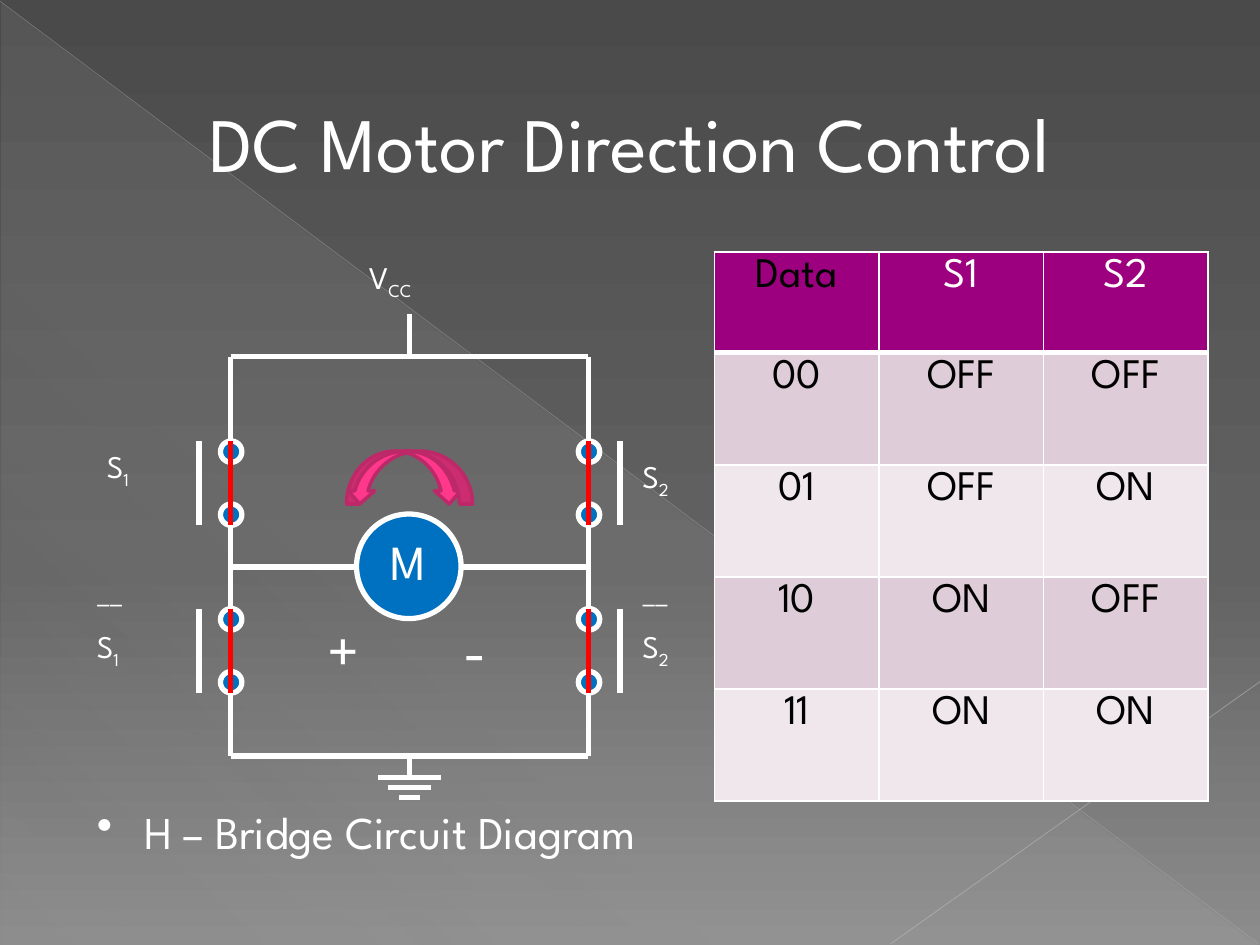
from itertools import product

from lxml.etree import SubElement
from pptx import Presentation
from pptx.dml.color import RGBColor
from pptx.enum.shapes import MSO_CONNECTOR as Connector, MSO_SHAPE as Shape
from pptx.enum.text import MSO_ANCHOR as Anchor, PP_ALIGN as Align
from pptx.oxml.ns import qn
from pptx.util import Inches, Pt

FONT = "League Spartan"
COLORS = {
    "white": "FFFFFF", "black": "000000", "blue": "0070C0", "red": "FF0000",
    "pink": "FF388C", "pink_edge": "BD2968", "header": "9C007F",
    "band_dark": "DECCD8", "band_light": "EFE7EC",
    "bg_top": "4A4A4A", "bg_middle": "626262", "bg_bottom": "8C8C8C",
    "sheen": "D2D2D2", "long_edge": "BFBFBF", "short_edge": "C6C6C6",
}
LEFT, RIGHT, MIDDLE = 1.83, 4.67, 3.25
TOP, CENTER, BOTTOM = 2.83, 4.5, 6
SWITCH_TOPS = (3.5, 4.83)
TABLE_ROWS = [
    ("Data", "S1", "S2"),
    ("00", "OFF", "OFF"),
    ("01", "OFF", "ON"),
    ("10", "ON", "OFF"),
    ("11", "ON", "ON"),
]


def rgb(name):
    return RGBColor.from_string(COLORS[name])


def add_color(parent, name, opacity=100):
    color = SubElement(parent, qn("a:srgbClr"), val=COLORS[name])
    if opacity < 100:
        SubElement(color, qn("a:alpha"), val=str(opacity * 1000))


def set_gradient(fill, owner, stops, angle):
    """Fill with (position, color, opacity) stops; owner is the XML that holds the fill."""
    fill.gradient()
    gradient = owner.xpath(".//a:gradFill")[0]
    for child in list(gradient):
        gradient.remove(child)
    stop_list = SubElement(gradient, qn("a:gsLst"))
    for position, name, opacity in stops:
        stop = SubElement(stop_list, qn("a:gs"), pos=str(position * 1000))
        add_color(stop, name, opacity)
    SubElement(gradient, qn("a:lin"), ang=str(angle * 60000), scaled="0")


def add_line(shapes, start, end, color="white", width=3, opacity=100):
    line = shapes.add_connector(Connector.STRAIGHT, *map(Inches, start + end))
    line.line.width = Pt(width)
    line.line.color.rgb = rgb(color)
    if opacity < 100:
        solid = line.element.xpath(".//a:ln/a:solidFill")[0]
        solid.remove(solid[0])
        add_color(solid, color, opacity)
    SubElement(line.element.spPr, qn("a:effectLst"))


def add_shape(shapes, kind, left, top, width, height, fill="blue", edge="white", weight=3):
    shape = shapes.add_shape(kind, *map(Inches, (left, top, width, height)))
    shape.shadow.inherit = False
    if fill:
        shape.fill.solid()
        shape.fill.fore_color.rgb = rgb(fill)
    if edge:
        shape.line.color.rgb = rgb(edge)
        shape.line.width = Pt(weight)
    else:
        shape.line.fill.background()
    return shape


def add_span(para, text, size, color="white", baseline=0):
    span = para.add_run()
    span.text = text
    span.font.size = Pt(size)
    span.font.name = FONT
    span.font.color.rgb = rgb(color)
    if baseline:
        span.font._element.set("baseline", str(baseline * 1000))


def add_text(shapes, box, paragraphs, size=18, align=Align.LEFT, anchor=Anchor.TOP,
             before=50, bullet=False):
    """Each paragraph is a list of (text, baseline percent); before is in percent of a line."""
    frame = shapes.add_textbox(*map(Inches, box)).text_frame
    frame.word_wrap = True
    frame.vertical_anchor = anchor
    for index, spans in enumerate(paragraphs):
        para = frame.add_paragraph() if index else frame.paragraphs[0]
        para.alignment = align
        properties = para._p.get_or_add_pPr()
        if before:
            spacing = SubElement(properties, qn("a:spcBef"))
            SubElement(spacing, qn("a:spcPct"), val=str(before * 1000))
        if bullet:
            properties.set("marL", str(Inches(0.38)))
            properties.set("indent", str(-Inches(0.38)))
            SubElement(properties, qn("a:buChar"), char="•")
        for text, baseline in spans:
            add_span(para, text, size, baseline=baseline)


def add_background(page):
    stops = [(0, "bg_top", 100), (60, "bg_middle", 100), (100, "bg_bottom", 100)]
    set_gradient(page.background.fill, page.element, stops, 90)
    sheen = add_shape(page.shapes, Shape.RIGHT_TRIANGLE, 0.01, 0.02, 9.98, 7.48,
                      fill=None, edge=None)
    stops = [(0, "sheen", 10), (70, "sheen", 8), (100, "sheen", 1)]
    set_gradient(sheen.fill, sheen.element, stops, 133)
    add_line(page.shapes, (0, 0.01), (9.99, 7.49), "long_edge", 0.39, 35)
    add_line(page.shapes, (10, 5.41), (7.07, 7.49), "short_edge", 0.47, 45)


def add_wires(shapes):
    add_line(shapes, (MIDDLE, 2.49), (MIDDLE, TOP))
    for y in (TOP, BOTTOM):
        add_line(shapes, (LEFT, y), (RIGHT, y))
    for x, (start, end) in product((LEFT, RIGHT), ((TOP, 3.67), (4, 5), (5.33, BOTTOM))):
        add_line(shapes, (x, start), (x, end))
    add_line(shapes, (LEFT, CENTER), (2.83, CENTER))
    add_line(shapes, (3.67, CENTER), (RIGHT, CENTER))


def add_ground(shapes):
    add_line(shapes, (MIDDLE, BOTTOM), (MIDDLE, 6.17))
    for y, half in ((6.17, 0.25), (6.25, 0.17), (6.33, 0.08)):
        add_line(shapes, (MIDDLE - half, y), (MIDDLE + half, y))


def add_switch(shapes, x, bar_x, top):
    for y in (top, top + 0.5):
        add_shape(shapes, Shape.OVAL, x - 0.08, y, 0.17, 0.17)
    add_line(shapes, (bar_x, top), (bar_x, top + 0.67))
    add_line(shapes, (x, top), (x, top + 0.67), "red")


def add_motor(shapes):
    motor = shapes.add_group_shape().shapes
    add_shape(motor, Shape.OVAL, 2.83, 4.08, 0.83, 0.83)
    add_text(motor, (3, 4.17, 0.42, 0.57), [[("M", 0)]], size=28)


def add_labels(shapes):
    add_text(shapes, (2.83, 2, 0.92, 0.5), [[("V", 0), ("CC", -25)]])
    for number, x, y, inverse_x in (("1", 0.75, 3.5, 0.67), ("2", 5, 3.58, 5)):
        name = [("S", 0), (number, -25)]
        add_text(shapes, (x, y, 0.75, 0.5), [name])
        add_text(shapes, (inverse_x, 4.5, 0.75, 1.11), [[("__", 0)], name])
    for sign, x in (("+", 2.5), ("-", 3.58)):
        add_text(shapes, (x, 4.25, 0.42, 0.77), [[(sign, -25)]], size=60)


def set_borders(cell, bottom):
    properties = cell._tc.get_or_add_tcPr()
    widths = {"a:lnL": 1, "a:lnR": 1, "a:lnT": 1, "a:lnB": bottom}
    for index, (tag, width) in enumerate(widths.items()):
        border = SubElement(properties, qn(tag), w=str(Pt(width)))
        add_color(SubElement(border, qn("a:solidFill")), "white")
        properties.insert(index, border)


def add_truth_table(shapes):
    frame = shapes.add_table(len(TABLE_ROWS), 3, *map(Inches, (5.67, 2, 3.92, 4.38)))
    table = frame.table
    for column in table.columns:
        column.width = Inches(3.92 / 3)
    for r, texts in enumerate(TABLE_ROWS):
        table.rows[r].height = Inches(0.89 if r else 0.8)
        fill = ("band_dark" if r % 2 else "band_light") if r else "header"
        for c, text in enumerate(texts):
            cell = table.cell(r, c)
            cell.fill.solid()
            cell.fill.fore_color.rgb = rgb(fill)
            set_borders(cell, bottom=1 if r else 3)
            para = cell.text_frame.paragraphs[0]
            para.alignment = Align.CENTER
            add_span(para, text, 24, "black" if r or c == 0 else "white")


def add_rotation_arrows(shapes):
    style = {"fill": "pink", "edge": "pink_edge", "weight": 2}
    add_shape(shapes, Shape.CURVED_DOWN_ARROW, 2.75, 3.58, 0.92, 0.42, **style)
    arrow = add_shape(shapes, Shape.CURVED_UP_ARROW, 2.75, 3.58, 1, 0.42, **style)
    arrow.rotation = 180


def main():
    deck = Presentation()
    deck.slide_width, deck.slide_height = Inches(10), Inches(7.5)
    page = deck.slides.add_slide(deck.slide_layouts[6])
    shapes = page.shapes
    add_background(page)
    add_text(shapes, (0.67, 6.33, 8.5, 0.67), [[("H – Bridge Circuit Diagram", 0)]],
             size=26, before=20, bullet=True)
    add_wires(shapes)
    for (x, bar_x), top in product(((LEFT, 1.58), (RIGHT, 4.92)), SWITCH_TOPS):
        add_switch(shapes, x, bar_x, top)
    add_ground(shapes)
    add_motor(shapes)
    add_labels(shapes)
    add_truth_table(shapes)
    add_rotation_arrows(shapes)
    add_text(shapes, (0.5, 0.5, 9, 1.25), [[("DC Motor Direction Control", 0)]],
             size=44, align=Align.CENTER, anchor=Anchor.MIDDLE, before=0)
    deck.save("out.pptx")


if __name__ == "__main__":
    main()
